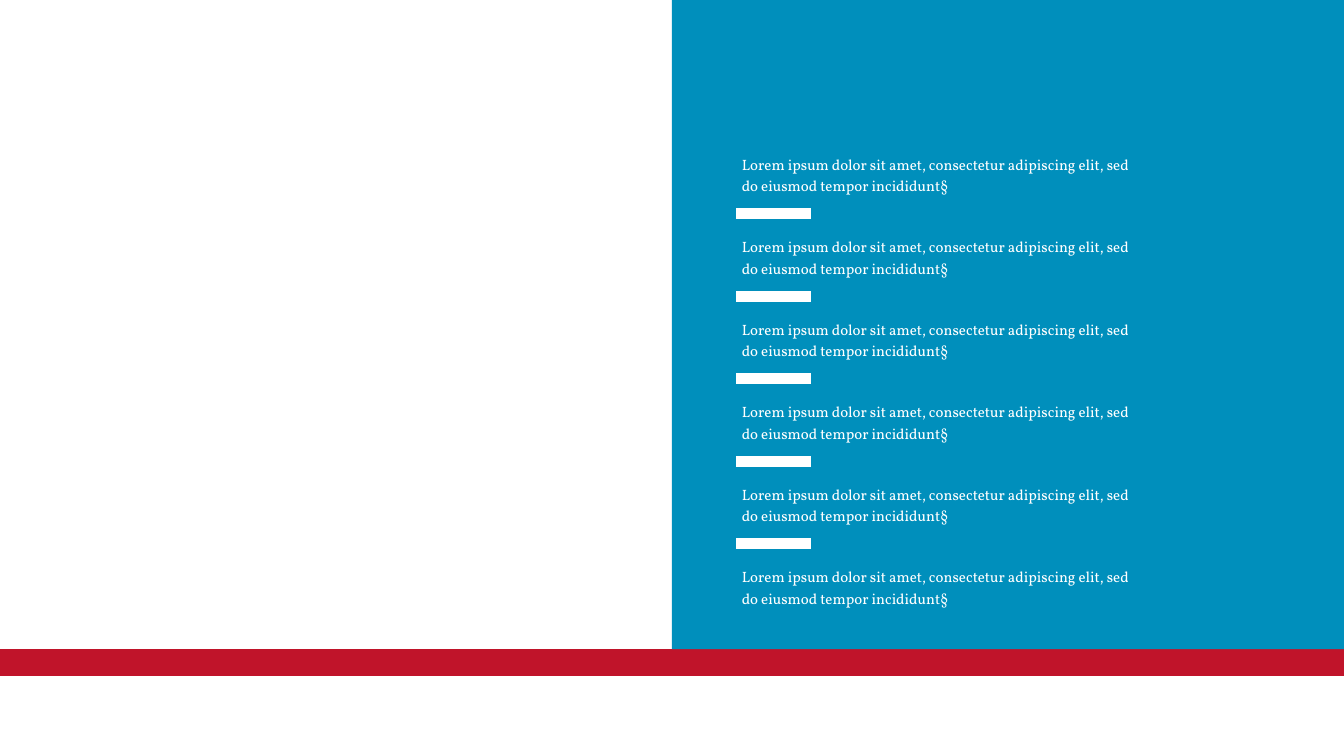
from dataclasses import dataclass

from lxml import etree
from pptx import Presentation
from pptx.dml.color import RGBColor
from pptx.enum.shapes import MSO_SHAPE
from pptx.enum.text import MSO_ANCHOR, MSO_AUTO_SIZE
from pptx.oxml.ns import qn
from pptx.util import Inches, Pt

RECT = MSO_SHAPE.RECTANGLE
MIDDLE = MSO_ANCHOR.MIDDLE
GROW = MSO_AUTO_SIZE.SHAPE_TO_FIT_TEXT


@dataclass(frozen=True)
class Theme:
    red: RGBColor = RGBColor(0xC0, 0x14, 0x2A)
    blue: RGBColor = RGBColor(0x00, 0x8F, 0xBC)
    white: RGBColor = RGBColor(0xFF, 0xFF, 0xFF)
    font: str = "Vollkorn"
    size: Pt = Pt(8)
    rule: Pt = Pt(6)


THEME = Theme()
ITEM = ("Lorem ipsum dolor sit amet, consectetur adipiscing elit, "
        "sed do eiusmod tempor incididunt§")
WIDTH = 10
HEIGHT = WIDTH * 9 / 16
COUNT = 6
TOP = 1.11
LAST = 4.18
PITCH = (LAST - TOP) / (COUNT - 1)
DROP = 0.48


def add_rect(slide, left, top, width, height):
    shape = slide.shapes.add_shape(
        RECT, Inches(left), Inches(top), Inches(width), Inches(height))
    shape.shadow.inherit = False
    return shape


def add_panel(slide, left, top, width, height, color):
    panel = add_rect(slide, left, top, width, height)
    panel.fill.solid()
    panel.fill.fore_color.rgb = color
    panel.line.fill.background()


def add_rule(slide, top):
    rule = add_rect(slide, 5.52, top, 0.47, 0)
    rule.fill.background()
    rule.line.color.rgb = THEME.white
    rule.line.width = THEME.rule
    line = rule.element.spPr.find(qn("a:ln"))
    etree.SubElement(line, qn("a:miter")).set("lim", "800000")


def add_item(slide, top, text):
    box = slide.shapes.add_textbox(
        Inches(5.5), Inches(top), Inches(3.04), Inches(0.36))
    frame = box.text_frame
    frame.word_wrap = True
    frame.auto_size = GROW
    frame.vertical_anchor = MIDDLE
    frame.margin_left = frame.margin_right = Inches(0.02)
    frame.margin_top = frame.margin_bottom = Inches(0.02)
    para = frame.paragraphs[0]
    para.text = text
    para.line_spacing = 1.2
    para.font.name = THEME.font
    para.font.size = THEME.size
    para.font.color.rgb = THEME.white


def main():
    deck = Presentation()
    deck.slide_width = Inches(WIDTH)
    deck.slide_height = Inches(HEIGHT)
    slide = deck.slides.add_slide(deck.slide_layouts[6])

    add_panel(slide, 0, 4.83, WIDTH, 0.2, THEME.red)
    add_panel(slide, 5, 0, 5, 4.83, THEME.blue)
    for row in range(COUNT):
        top = TOP + row * PITCH
        add_item(slide, top, ITEM)
        if row < COUNT - 1:
            add_rule(slide, top + DROP)

    deck.save("out.pptx")


if __name__ == "__main__":
    main()
